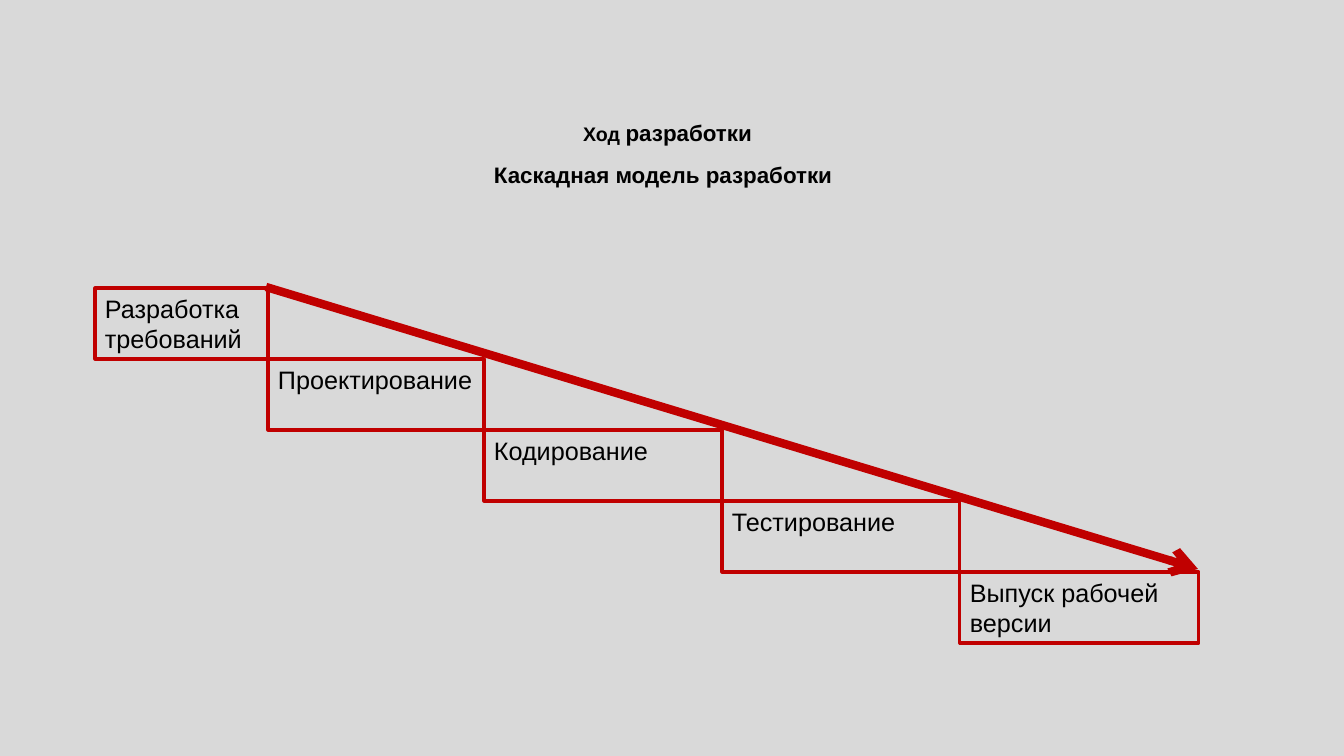
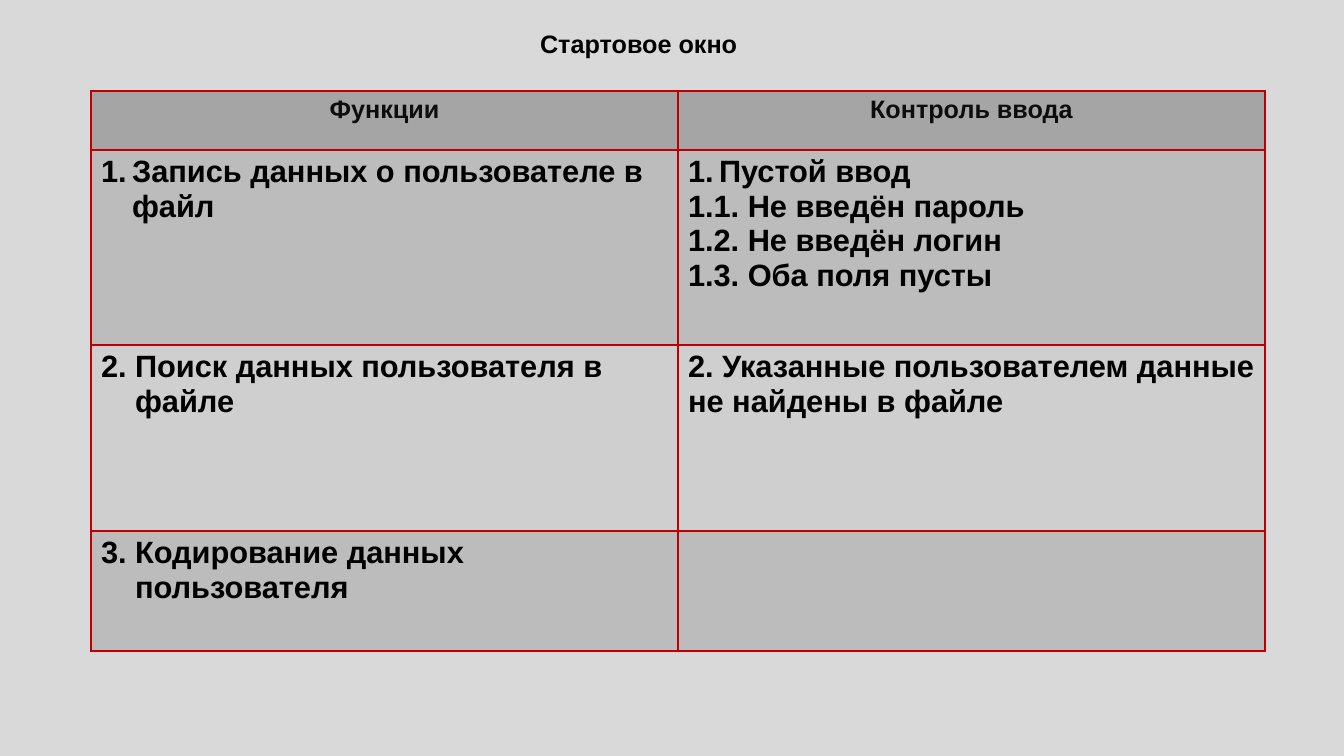
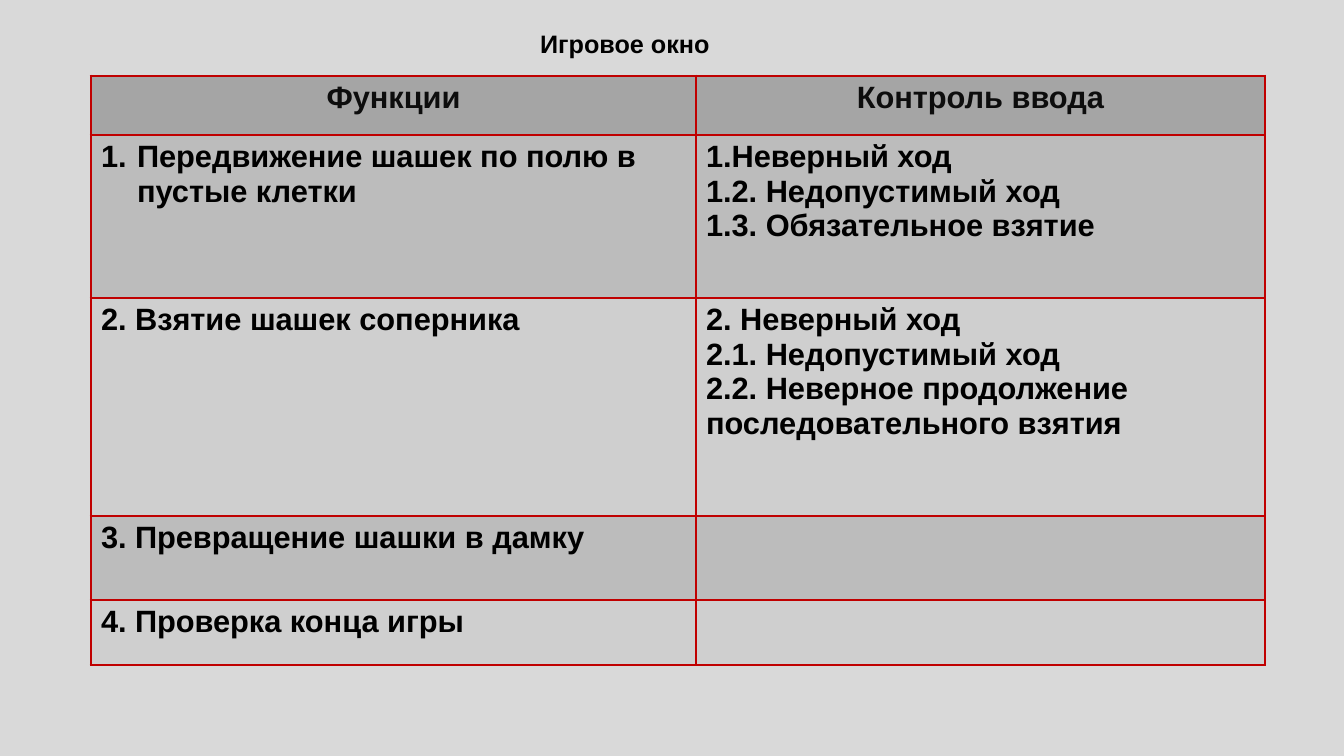
from collections import namedtuple

from lxml import etree
from pptx import Presentation
from pptx import util as u
from pptx.dml.color import RGBColor
from pptx.enum import shapes, text
from pptx.oxml import ns

# Shared look
FONT = "Arial"
BACK, RED, BLACK = "D9D9D9", "C00000", "000000"
HEAD_FILL, HEAD_TEXT = "A5A5A5", "0D0D0D"
BANDS = ("BCBCBC", "CFCFCF")
TITLE_AT = (530, 23, 234, 40)
BODY_SIZE, BORDER = 22, 2.25
TABLE_LEFT, HEAD_HEIGHT = 91, 59
HANG = 34

# Numbered paragraph: its number, hanging indent in px, wording
Item = namedtuple("Item", "number hang wording")


def px(n):
    return u.Emu(round(n * 12192000 / 1344))


def rgb(color):
    return RGBColor.from_string(color)


def child(parent, tag, **attrs):
    return etree.SubElement(parent, ns.qn(tag), attrs)


# Text
def format_run(r, size, bold=False, color=BLACK):
    r.font.name, r.font.size, r.font.bold = FONT, u.Pt(size), bold
    r.font.color.rgb = rgb(color)


def write_line(tf, runs, bold):
    tf.word_wrap = True
    tf.auto_size = text.MSO_AUTO_SIZE.NONE
    tf.vertical_anchor = text.MSO_ANCHOR.TOP
    p = tf.paragraphs[0]
    p.alignment = text.PP_ALIGN.LEFT
    for wording, size in runs:
        r = p.add_run()
        r.text = wording
        format_run(r, size, bold)


def number_paragraph(p, item):
    pPr = p._p.get_or_add_pPr()
    pPr.set("marL", str(px(item.hang)))
    pPr.set("indent", str(-px(item.hang)))
    child(pPr, "a:buFont", typeface="+mj-lt")
    child(pPr, "a:buAutoNum", type="arabicPeriod", startAt=str(item.number))


# Slide parts
def add_slide(prs, runs, at=TITLE_AT):
    s = prs.slides.add_slide(prs.slide_layouts[5])
    title = s.shapes.title
    title.left, title.top, title.width, title.height = map(px, at)
    write_line(title.text_frame, runs, bold=True)
    return s


def add_step(s, left, top, width, height, wording):
    sp = s.shapes.add_shape(shapes.MSO_SHAPE.RECTANGLE,
                            *map(px, (left, top, width, height)))
    sp.shadow.inherit = False
    sp.fill.background()
    sp.line.color.rgb = rgb(RED)
    sp.line.width = u.Pt(BORDER)
    write_line(sp.text_frame, [(wording, 18)], bold=False)


def add_arrow(s, x1, y1, x2, y2):
    line = s.shapes.add_connector(shapes.MSO_CONNECTOR.STRAIGHT,
                                  *map(px, (x1, y1, x2, y2)))
    line.line.color.rgb = rgb(RED)
    line.line.width = u.Pt(6)
    child(line.line._get_or_add_ln(), "a:tailEnd", type="arrow")
    child(line._element.spPr, "a:effectLst")


def fill_cell(cell, paragraphs, size, fill, color=BLACK, align=text.PP_ALIGN.LEFT):
    tcPr = cell._tc.get_or_add_tcPr()
    for side in ("a:lnL", "a:lnR", "a:lnT", "a:lnB"):
        ln = child(tcPr, side, w=str(u.Pt(BORDER)))
        child(child(ln, "a:solidFill"), "a:srgbClr", val=RED)
    cell.fill.solid()
    cell.fill.fore_color.rgb = rgb(fill)
    tf = cell.text_frame
    for i, content in enumerate(paragraphs):
        p = tf.add_paragraph() if i else tf.paragraphs[0]
        p.alignment = align
        if isinstance(content, Item):
            number_paragraph(p, content)
            content = content.wording
        p.text = content
        format_run(p.runs[0], size, True, color)


def add_function_table(s, top, widths, heights, rows, head_size):
    heights = [HEAD_HEIGHT] + heights
    frame = s.shapes.add_table(len(heights), len(widths), px(TABLE_LEFT), px(top),
                               px(sum(widths)), px(sum(heights)))
    table = frame.table
    for column, width in zip(table.columns, widths):
        column.width = px(width)
    for row, height in zip(table.rows, heights):
        row.height = px(height)
    for cell, heading in zip(table.rows[0].cells, ("Функции", "Контроль ввода")):
        fill_cell(cell, [heading], head_size, HEAD_FILL, HEAD_TEXT, text.PP_ALIGN.CENTER)
    for i, contents in enumerate(rows):
        for cell, paragraphs in zip(table.rows[i + 1].cells, contents):
            fill_cell(cell, paragraphs, BODY_SIZE, BANDS[i % 2])


# Slides
def waterfall_slide(prs):
    s = add_slide(prs, [("Ход ", 14), ("разработки", 16)], (573, 114, 198, 60))
    subtitle = s.shapes.add_textbox(*map(px, (484, 156, 420, 37)))
    write_line(subtitle.text_frame, [("Каскадная модель разработки", 16)], bold=True)
    left, top, height = 95, 288, 71
    for width, wording in ((173, "Разработка требований"), (216, "Проектирование"),
                           (238, "Кодирование"), (238, "Тестирование"),
                           (239, "Выпуск рабочей версии")):
        add_step(s, left, top, width, height, wording)
        left += width
        top += height
    add_arrow(s, 266, 287, 1198, 569)


def start_window_slide(prs):
    s = add_slide(prs, [("Стартовое окно", 18)])
    rows = [
        ([Item(1, 31, "Запись данных о пользователе в файл")],
         [Item(1, 31, "Пустой ввод"), "1.1. Не введён пароль",
          "1.2. Не введён логин", "1.3. Оба поля пусты"]),
        ([Item(2, HANG, "Поиск данных пользователя в файле")],
         ["2. Указанные пользователем данные не найдены в файле"]),
        ([Item(3, HANG, "Кодирование данных пользователя")], []),
    ]
    add_function_table(s, 91, [587, 587], [195, 186, 120], rows, head_size=18)


def game_window_slide(prs):
    s = add_slide(prs, [("Игровое окно", 18)])
    rows = [
        ([Item(1, 36, "Передвижение шашек по полю в пустые клетки")],
         ["1.Неверный ход", "1.2. Недопустимый ход", "1.3. Обязательное взятие"]),
        ([Item(2, HANG, "Взятие шашек соперника")],
         ["2. Неверный ход", "2.1. Недопустимый ход",
          "2.2. Неверное продолжение последовательного взятия"]),
        ([Item(3, HANG, "Превращение шашки в дамку")], []),
        ([Item(4, HANG, "Проверка конца игры")], []),
    ]
    add_function_table(s, 76, [605, 569], [163, 218, 84, 65], rows, head_size=BODY_SIZE)


def main():
    prs = Presentation()
    prs.slide_width, prs.slide_height = px(1344), px(756)
    back = prs.slide_master.background.fill
    back.solid()
    back.fore_color.rgb = rgb(BACK)
    waterfall_slide(prs)
    start_window_slide(prs)
    game_window_slide(prs)
    prs.save("out.pptx")


if __name__ == "__main__":
    main()
